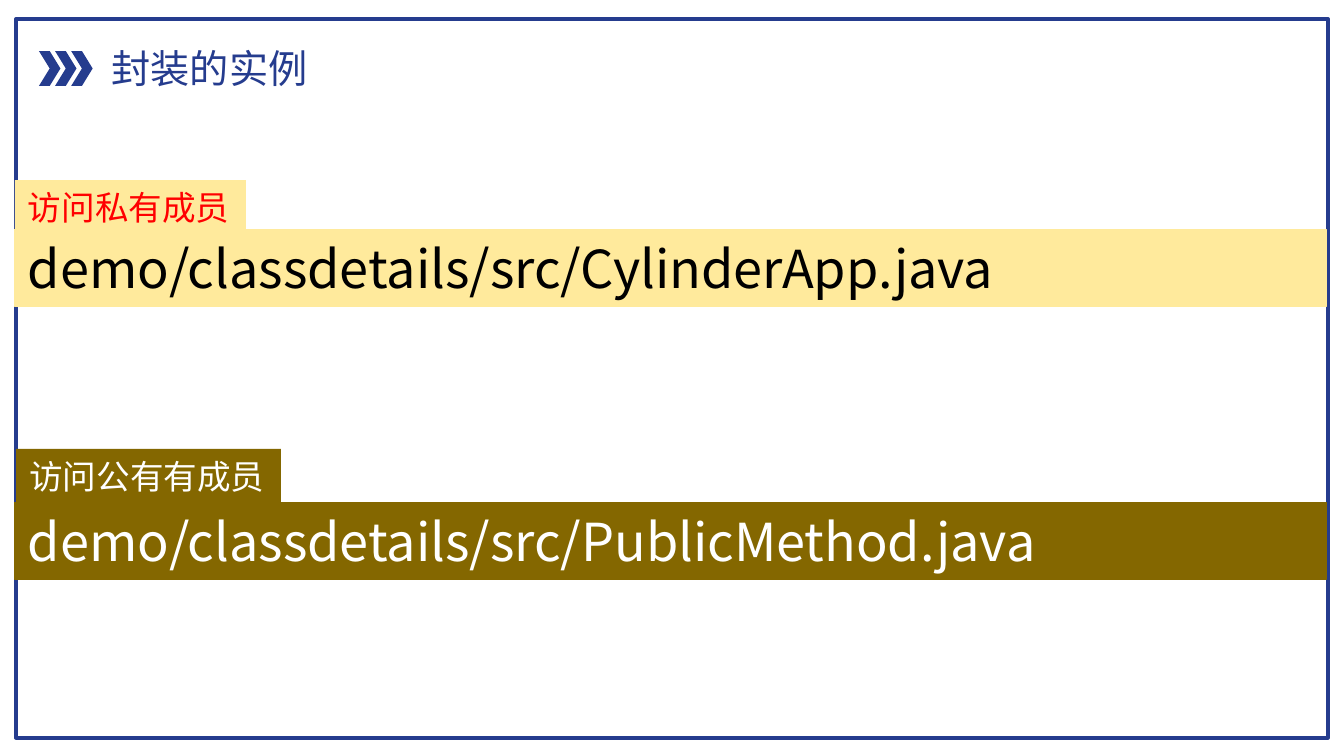
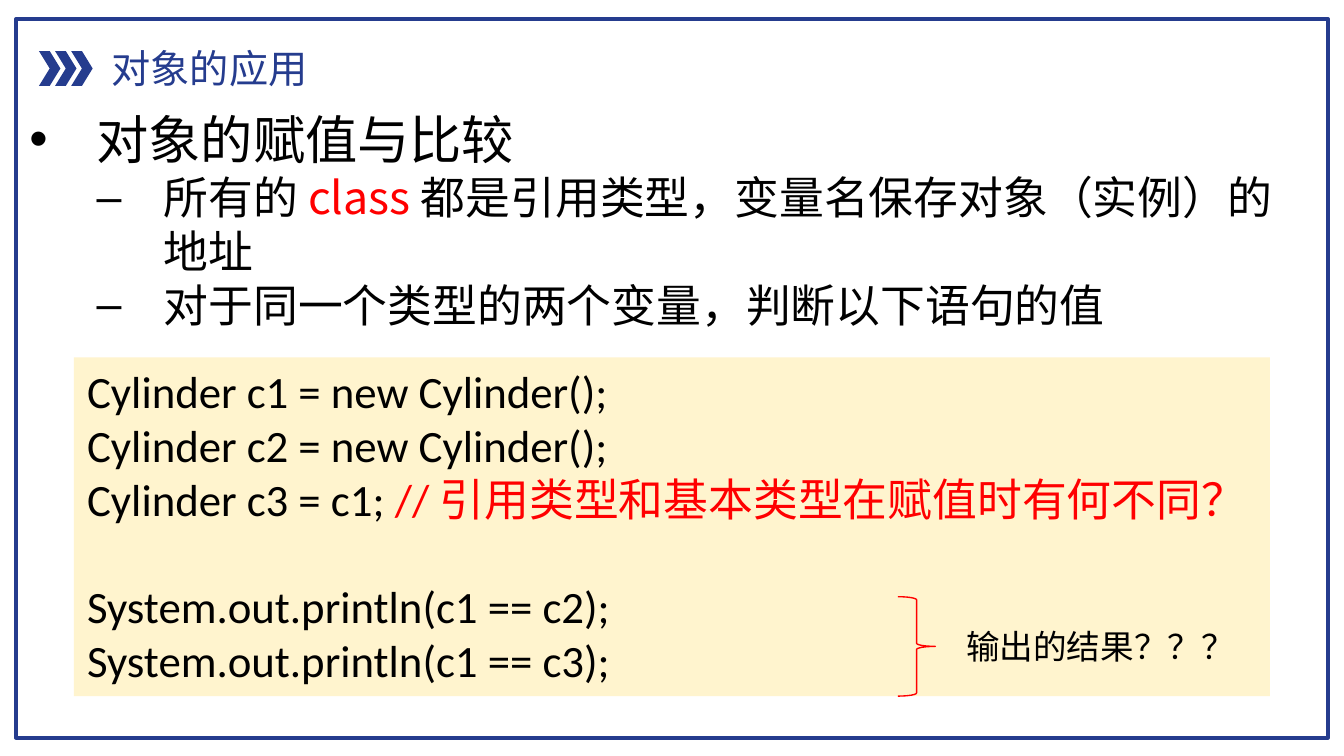
from pptx import Presentation
from pptx.dml.color import RGBColor
from pptx.enum.shapes import MSO_SHAPE
from pptx.enum.text import MSO_ANCHOR, MSO_AUTO_SIZE, PP_ALIGN
from pptx.oxml.ns import qn
from pptx.util import Inches, Pt
from lxml import etree

NAVY = RGBColor(0x25, 0x3C, 0x8E)
SAND = RGBColor(0xFF, 0xEA, 0x9C)
CREAM = RGBColor(0xFF, 0xF4, 0xCE)
OLIVE = RGBColor(0x84, 0x67, 0x00)
RED = RGBColor(0xFF, 0x00, 0x00)
BLACK = RGBColor(0x00, 0x00, 0x00)
WHITE = RGBColor(0xFF, 0xFF, 0xFF)

RECTANGLE = MSO_SHAPE.RECTANGLE
CHEVRON = MSO_SHAPE.CHEVRON
RIGHT_BRACE = MSO_SHAPE.RIGHT_BRACE
TOP = MSO_ANCHOR.TOP
LEFT = PP_ALIGN.LEFT
NO_AUTOFIT = MSO_AUTO_SIZE.NONE

CHINESE_FONT = "Noto Sans CJK SC"
CODE_FONT = "Calibri"
LINE_RATIO = 1.2
TITLE_ONLY_LAYOUT = 5
SLIDE_WIDTH = Inches(10)
SLIDE_HEIGHT = SLIDE_WIDTH * 9 // 16

FRAME = (0.12, 0.14, 9.76, 5.35)
TITLE_BOX = (0.73, 0.28, 1.67, 0.45)
CHEVRON_LEFT, CHEVRON_STEP, CHEVRON_COUNT = 0.29, 0.12, 3

EXAMPLES_TITLE = "封装的实例"
EXAMPLES = [
    {"label": "访问私有成员", "file": "demo/classdetails/src/CylinderApp.java",
     "label_box": (0.11, 1.34, 1.72, 0.4), "file_top": 1.71,
     "fill": SAND, "label_color": RED, "file_color": BLACK},
    {"label": "访问公有有成员", "file": "demo/classdetails/src/PublicMethod.java",
     "label_box": (0.12, 3.34, 1.97, 0.4), "file_top": 3.74,
     "fill": OLIVE, "label_color": WHITE, "file_color": WHITE},
]

OBJECTS_TITLE = "对象的应用"
OBJECT_POINTS = [
    (0, [("对象的赋值与比较", BLACK)]),
    (1, [("所有的 ", BLACK), ("class ", RED),
         ("都是引用类型，变量名保存对象（实例）的地址", BLACK)]),
    (1, [("对于同一个类型的两个变量，判断以下语句的值", BLACK)]),
]
LEVELS = [(28, "•"), (24, "–")]
ASSIGNMENT_LINES = [
    [("Cylinder c1 = new Cylinder();", BLACK)],
    [("Cylinder c2 = new Cylinder();", BLACK)],
    [("Cylinder c3 = c1; ", BLACK), ("// 引用类型和基本类型在赋值时有何不同？", RED)],
]
PRINT_LINES = [
    [("System.out.println(c1 == c2);", BLACK)],
    [("System.out.println(c1 == c3);", BLACK)],
]
QUESTION = "输出的结果？？？"


def inches(box):
    return [Inches(value) for value in box]


def add_shape(slide, kind, box, fill=None, line=None, line_width=0.75):
    shape = slide.shapes.add_shape(kind, *inches(box))
    shape.shadow.inherit = False
    if fill is None:
        shape.fill.background()
    else:
        shape.fill.solid()
        shape.fill.fore_color.rgb = fill
    if line is None:
        shape.line.fill.background()
    else:
        shape.line.color.rgb = line
        shape.line.width = Pt(line_width)
    return shape


def write_paragraph(paragraph, runs, size, font_name):
    paragraph.alignment = LEFT
    paragraph.line_spacing = Pt(size * LINE_RATIO)
    for text, color in runs:
        run = paragraph.add_run()
        run.text = text
        run.font.size = Pt(size)
        run.font.name = font_name
        run.font.color.rgb = color
        latin = run.font._element.find(qn("a:latin"))
        east_asian = etree.Element(qn("a:ea"), typeface=CHINESE_FONT)
        latin.addnext(east_asian)


def write_text(shape, lines, size, font_name, wrap=True):
    frame = shape.text_frame
    frame.auto_size = NO_AUTOFIT
    frame.word_wrap = wrap
    frame.vertical_anchor = TOP
    frame.margin_left = frame.margin_right = Inches(0.1)
    frame.margin_top = frame.margin_bottom = Inches(0.05)
    for index, runs in enumerate(lines):
        paragraph = frame.add_paragraph() if index else frame.paragraphs[0]
        write_paragraph(paragraph, runs, size, font_name)


def add_bullet(paragraph, level, mark):
    paragraph.level = level
    properties = paragraph._p.get_or_add_pPr()
    properties.set("marL", str(Inches(0.5 * (level + 1))))
    properties.set("indent", str(-Inches(0.5)))
    etree.SubElement(properties, qn("a:buFont"), typeface="Arial")
    etree.SubElement(properties, qn("a:buChar"), char=mark)


def add_titled_slide(presentation, title):
    slide = presentation.slides.add_slide(presentation.slide_layouts[TITLE_ONLY_LAYOUT])
    add_shape(slide, RECTANGLE, FRAME, line=NAVY, line_width=2)
    for index in range(CHEVRON_COUNT):
        left = CHEVRON_LEFT + index * CHEVRON_STEP
        add_shape(slide, CHEVRON, (left, 0.38, 0.16, 0.26), fill=NAVY)
    heading = slide.shapes.title
    heading.left, heading.top, heading.width, heading.height = inches(TITLE_BOX)
    write_text(heading, [[(title, NAVY)]], 21, CHINESE_FONT, wrap=False)
    return slide


def build_examples(presentation):
    slide = add_titled_slide(presentation, EXAMPLES_TITLE)
    for example in EXAMPLES:
        fill = example["fill"]
        file_bar = add_shape(slide, RECTANGLE, (0.11, example["file_top"], 9.76, 0.57),
                             fill=fill, line=fill)
        write_text(file_bar, [[(example["file"], example["file_color"])]], 28, CHINESE_FONT)
    for example in EXAMPLES:
        label = add_shape(slide, RECTANGLE, example["label_box"], fill=example["fill"])
        write_text(label, [[(example["label"], example["label_color"])]], 18, CODE_FONT,
                   wrap=False)


def build_objects(presentation):
    slide = add_titled_slide(presentation, OBJECTS_TITLE)

    points = slide.shapes.add_textbox(*inches((0.12, 0.75, 9.76, 1.78)))
    frame = points.text_frame
    frame.word_wrap = True
    for index, (level, runs) in enumerate(OBJECT_POINTS):
        size, mark = LEVELS[level]
        paragraph = frame.add_paragraph() if index else frame.paragraphs[0]
        write_paragraph(paragraph, runs, size, CHINESE_FONT)
        add_bullet(paragraph, level, mark)

    code = add_shape(slide, RECTANGLE, (0.55, 2.66, 8.9, 2.52), fill=CREAM)
    write_text(code, ASSIGNMENT_LINES + PRINT_LINES, 24, CODE_FONT)
    first_print = code.text_frame.paragraphs[len(ASSIGNMENT_LINES)]
    first_print.space_before = Pt(24 * LINE_RATIO)

    add_shape(slide, RIGHT_BRACE, (6.68, 4.44, 0.28, 0.74), line=RED)
    question = slide.shapes.add_textbox(*inches((7.09, 4.61, 2.22, 0.4)))
    write_text(question, [[(QUESTION, BLACK)]], 18, CODE_FONT, wrap=False)


def main():
    presentation = Presentation()
    presentation.slide_width = SLIDE_WIDTH
    presentation.slide_height = SLIDE_HEIGHT
    build_examples(presentation)
    build_objects(presentation)
    presentation.save("out.pptx")


if __name__ == "__main__":
    main()
